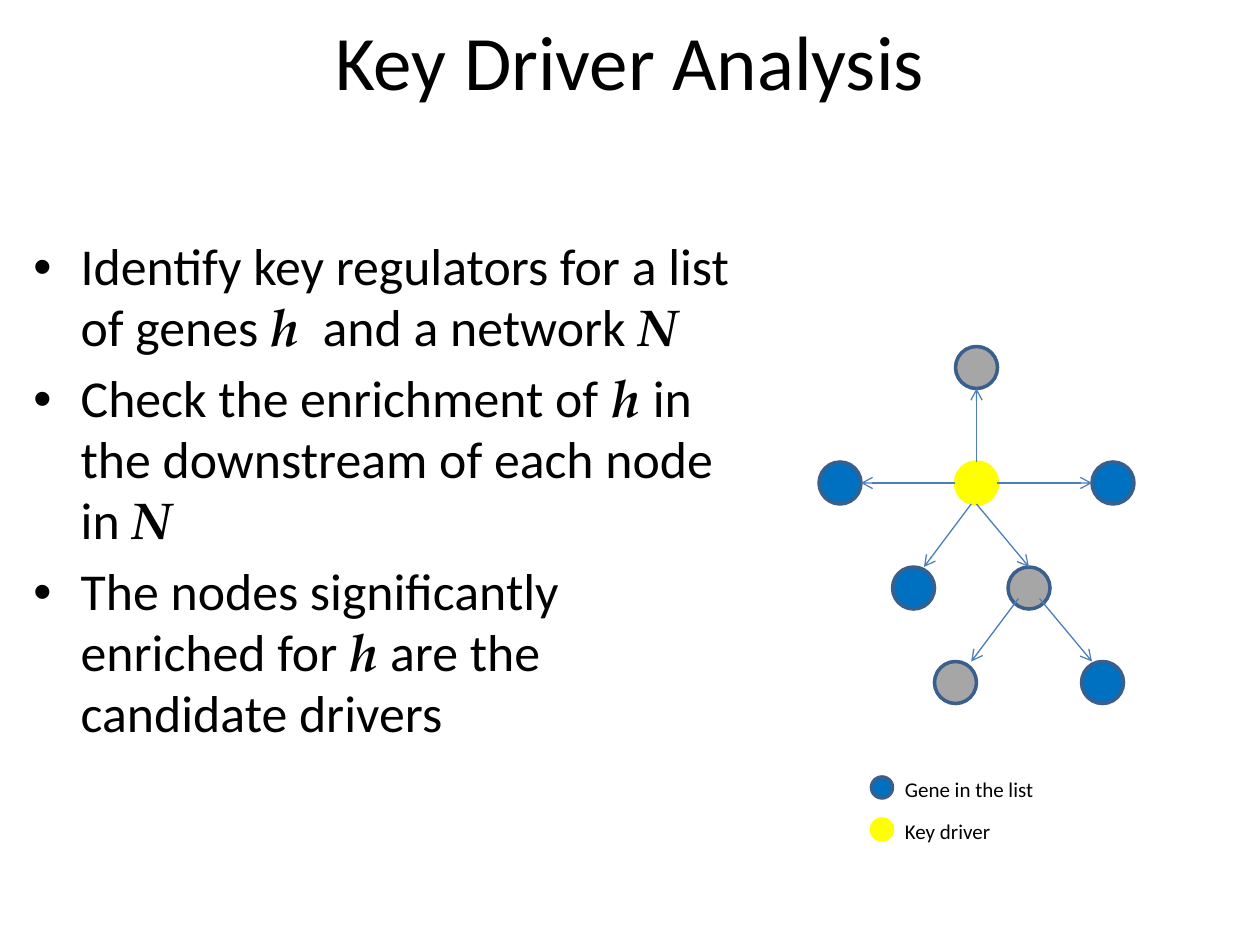
from lxml.etree import SubElement
from pptx import Presentation
from pptx.dml.color import RGBColor
from pptx.enum.shapes import MSO_CONNECTOR, MSO_SHAPE
from pptx.enum.text import MSO_ANCHOR, PP_ALIGN
from pptx.oxml.ns import qn
from pptx.util import Pt

COLORS = {
    "text": "000000",
    "listed": "0070C0",
    "other": "A6A6A6",
    "driver": "FFFF00",
    "outline": "3A5F8C",
    "arrow": "4B7EBC",
}
BODY_FONT = "Calibri"
SYMBOL_FONT = "TeX Gyre Pagella"
NODE_SIZE = 24
LEGEND_SIZE = 12

# Text pieces alternate between plain words and symbols
BULLETS = [
    ["Identify key regulators for a list of genes ", "h", "  and a network ", "N"],
    ["Check the enrichment of ", "h ", "in the downstream of each node in ", "N"],
    ["The nodes significantly enriched for ", "h", " are the candidate drivers"],
]

# Left, top and kind of each network node
NODES = [
    (546, 264, "driver"),
    (546, 198, "other"),
    (468, 264, "listed"),
    (624, 264, "listed"),
    (510, 324, "listed"),
    (576, 324, "other"),
    (534, 378, "other"),
    (618, 378, "listed"),
]

# Start and end of each regulation arrow
ARROWS = [
    (558, 264, 558, 222),
    (546, 276, 492, 276),
    (570, 276, 624, 276),
    (555, 288, 528, 324),
    (558, 288, 588, 324),
    (582, 342, 555, 378),
    (594, 342, 624, 378),
]

# Top of the dot, kind and label
LEGEND = [(444, "listed", "Gene in the list"), (468, "driver", "Key driver")]


def color(name):
    return RGBColor.from_string(COLORS[name])


def set_font(font, size, name=BODY_FONT):
    font.name = name
    font.size = Pt(size)
    font.color.rgb = color("text")


def add_title(slide, text):
    title = slide.shapes.title
    title.left, title.top, title.width, title.height = Pt(36), Pt(0), Pt(648), Pt(68.4)
    frame = title.text_frame
    frame.text = text
    frame.vertical_anchor = MSO_ANCHOR.MIDDLE
    paragraph = frame.paragraphs[0]
    paragraph.alignment = PP_ALIGN.CENTER
    set_font(paragraph.font, 44)


def set_bullet(paragraph, indent):
    properties = paragraph._p.get_or_add_pPr()
    properties.set("marL", str(Pt(indent)))
    properties.set("indent", str(-Pt(indent)))
    SubElement(properties, qn("a:buFont"), typeface="Arial")
    SubElement(properties, qn("a:buChar"), char="•")


def add_bullets(slide, bullets):
    box = slide.shapes.add_textbox(Pt(12), Pt(132), Pt(414), Pt(330))
    frame = box.text_frame
    frame.word_wrap = True
    for number, pieces in enumerate(bullets):
        paragraph = frame.add_paragraph() if number else frame.paragraphs[0]
        paragraph.line_spacing = 0.98
        paragraph.space_before = Pt(5.8 if number else 0)
        set_bullet(paragraph, 27)
        for position, piece in enumerate(pieces):
            is_symbol = position % 2 == 1
            run = paragraph.add_run()
            run.text = piece
            set_font(run.font, 29.6, SYMBOL_FONT if is_symbol else BODY_FONT)
            run.font.bold = run.font.italic = is_symbol


def add_node(slide, left, top, size, kind):
    node = slide.shapes.add_shape(MSO_SHAPE.OVAL, Pt(left), Pt(top), Pt(size), Pt(size))
    node.shadow.inherit = False
    node.fill.solid()
    node.fill.fore_color.rgb = color(kind)
    node.line.color.rgb = color("driver" if kind == "driver" else "outline")
    node.line.width = Pt(2)


def add_arrow(slide, *ends):
    arrow = slide.shapes.add_connector(MSO_CONNECTOR.STRAIGHT, *map(Pt, ends))
    arrow.line.color.rgb = color("arrow")
    arrow.line.width = Pt(0.75)
    SubElement(arrow.line._get_or_add_ln(), qn("a:tailEnd"), type="arrow")
    SubElement(arrow._element.spPr, qn("a:effectLst"))


def add_legend_entry(slide, top, kind, label):
    add_node(slide, 498, top, LEGEND_SIZE, kind)
    box = slide.shapes.add_textbox(Pt(510), Pt(top - 4), Pt(90), Pt(21.8))
    frame = box.text_frame
    frame.word_wrap = False
    frame.text = label
    set_font(frame.paragraphs[0].font, 12)


def main():
    presentation = Presentation()
    presentation.slide_width, presentation.slide_height = Pt(720), Pt(540)
    slide = presentation.slides.add_slide(presentation.slide_layouts[5])

    add_title(slide, "Key Driver Analysis")
    add_bullets(slide, BULLETS)

    # Network, with arrows above the nodes
    for left, top, kind in NODES:
        add_node(slide, left, top, NODE_SIZE, kind)
    for ends in ARROWS:
        add_arrow(slide, *ends)

    # Legend
    for entry in LEGEND:
        add_legend_entry(slide, *entry)

    presentation.save("out.pptx")


if __name__ == "__main__":
    main()
